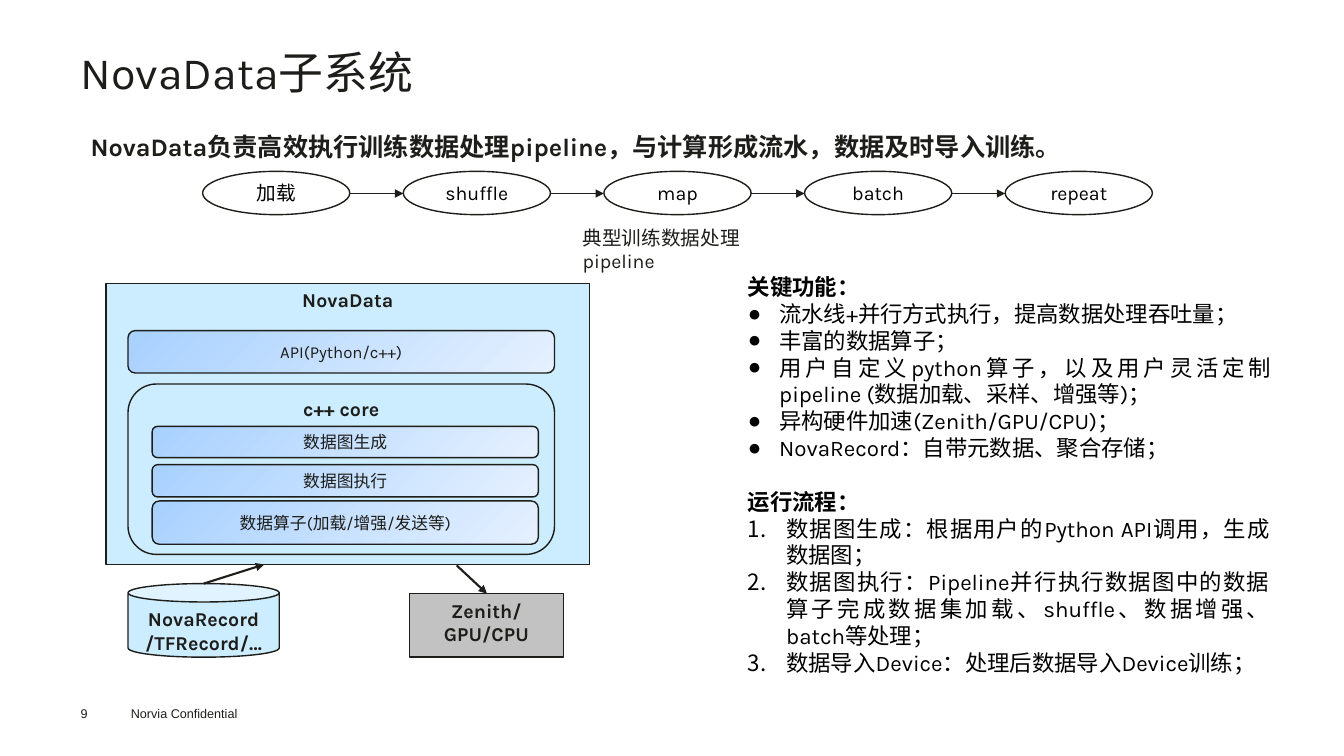
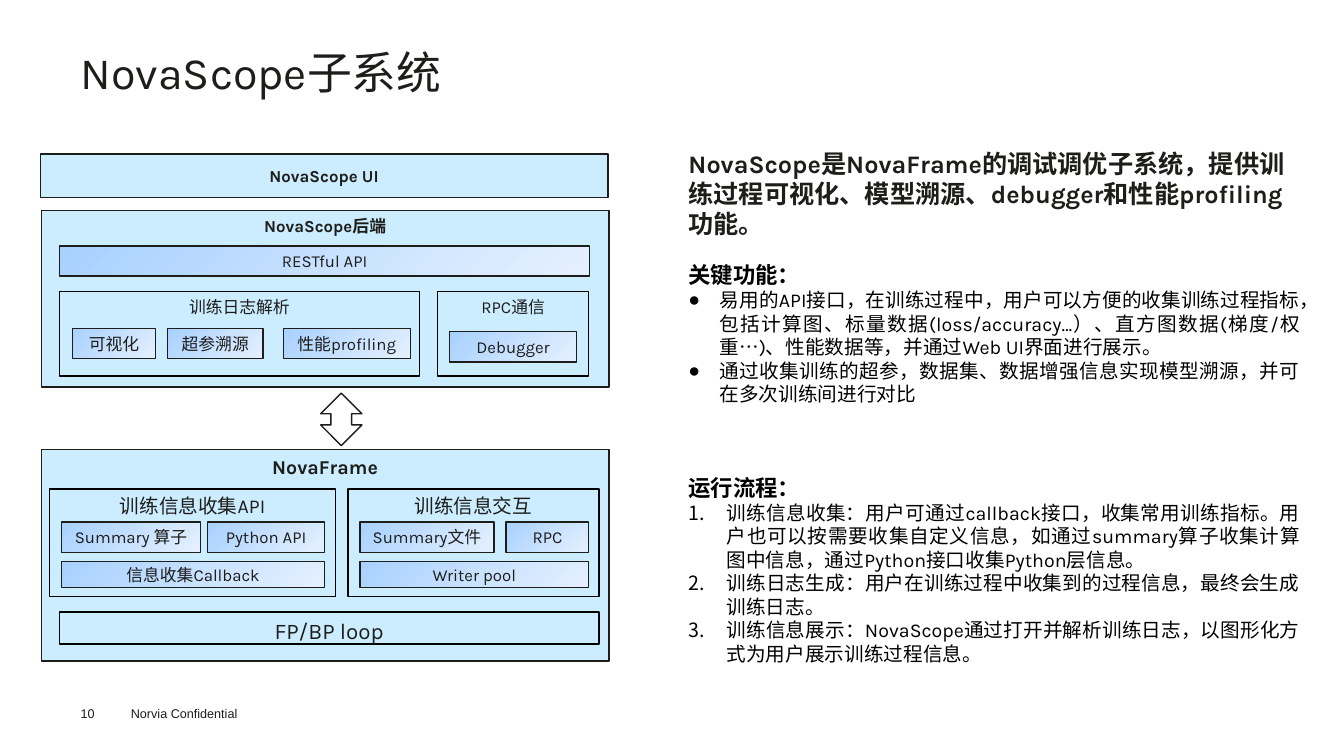
from lxml import etree
from pptx import Presentation
from pptx.dml.color import RGBColor
from pptx.enum.shapes import MSO_CONNECTOR, MSO_SHAPE
from pptx.enum.text import MSO_ANCHOR, PP_ALIGN
from pptx.oxml.ns import qn
from pptx.util import Emu, Pt

RECT = MSO_SHAPE.RECTANGLE
ROUND = MSO_SHAPE.ROUNDED_RECTANGLE
OVAL = MSO_SHAPE.OVAL
CAN = MSO_SHAPE.CAN
UPDOWN = MSO_SHAPE.UP_DOWN_ARROW
STRAIGHT = MSO_CONNECTOR.STRAIGHT
TOP, MIDDLE = MSO_ANCHOR.TOP, MSO_ANCHOR.MIDDLE
LEFT, CENTER, JUSTIFY = PP_ALIGN.LEFT, PP_ALIGN.CENTER, PP_ALIGN.JUSTIFY

SCALE = 9144  # EMU in one px, 100 px to the inch
FONT = "Karla"
INK, BLACK, FOOT = "1D1D1A", "000000", "1D1D1B"
SKY, GRAY = "CCECFF", "C2C2C2"
BLEND = ("A8D1FF", "E5F0FF")


def px(*nums):
    return [Emu(n * SCALE) for n in nums]


def rgb(code):
    return RGBColor.from_string(code)


def style(para, size, color=INK, bold=False, align=LEFT, font=FONT):
    para.alignment = align
    para.font.name = font
    para.font.size = Pt(size)
    para.font.bold = bold
    para.font.color.rgb = rgb(color)


def write(frame, text, size, anchor=TOP, **look):
    """Fill a frame, one paragraph to a line."""
    frame.word_wrap = True
    frame.vertical_anchor = anchor
    frame.text = text
    for para in frame.paragraphs:
        style(para, size, **look)


def label(slide, spot, text, size, inset=True, **look):
    frame = slide.shapes.add_textbox(*px(*spot)).text_frame
    if not inset:
        frame.margin_left = frame.margin_right = 0
        frame.margin_top = frame.margin_bottom = 0
    write(frame, text, size, **look)
    return frame


def box(slide, spot, text="", size=12, kind=RECT, fill=None, line=INK,
        color=INK, bold=False, anchor=TOP):
    """Outlined shape: fill is None, a colour or a pair to blend."""
    shape = slide.shapes.add_shape(kind, *px(*spot))
    shape.shadow.inherit = False
    if fill is None:
        shape.fill.background()
    elif isinstance(fill, tuple):
        shape.fill.gradient()
        shape.fill.gradient_angle = 315
        for stop, code in zip(shape.fill.gradient_stops, fill):
            stop.color.rgb = rgb(code)
    else:
        shape.fill.solid()
        shape.fill.fore_color.rgb = rgb(fill)
    shape.line.color.rgb = rgb(line)
    shape.line.width = Pt(1)
    if text:
        write(shape.text_frame, text, size, anchor, color=color, bold=bold,
              align=CENTER)


def chip(slide, spot, text, kind=RECT):
    box(slide, spot, text, kind=kind, fill=BLEND, anchor=MIDDLE)


def arrow(slide, ends, width):
    line = slide.shapes.add_connector(STRAIGHT, *px(*ends))
    line.line.color.rgb = rgb(INK)
    line.line.width = Pt(width)
    props = line._element.spPr
    etree.SubElement(props.find(qn("a:ln")), qn("a:tailEnd"), type="triangle")
    etree.SubElement(props, qn("a:effectLst"))


def points(slide, spot, head, items, size, number=False):
    """Bold heading over a bulleted or numbered list."""
    frame = label(slide, spot, head, 16, color=BLACK, bold=True, align=JUSTIFY)
    hang = px(38 if number else 31)[0]
    for item in items:
        para = frame.add_paragraph()
        para.text = item
        props = para._p.get_or_add_pPr()
        props.set("marL", str(hang))
        props.set("indent", str(-hang))
        if number:
            etree.SubElement(props, qn("a:buAutoNum"), type="arabicPeriod")
        else:
            etree.SubElement(props, qn("a:buFont"), typeface="Arial")
            etree.SubElement(props, qn("a:buChar"), char="●")
        style(para, size, BLACK, align=JUSTIFY)


def start(deck, title, page):
    """New slide with title and footer."""
    slide = deck.slides.add_slide(deck.slide_layouts[6])
    label(slide, (120, 695, 160, 25), "Norvia Confidential", 9,
          color=FOOT, font="Arial")
    label(slide, (80, 700, 55, 15), page, 9, inset=False,
          color=FOOT, font="Arial")
    frame = label(slide, (80, 50, 1174, 109), title, 32, inset=False)
    frame.paragraphs[0].line_spacing = Pt(34.3)
    return slide


def data_slide(deck):
    slide = start(deck, "NovaData子系统", "9")
    label(slide, (80, 125, 1174, 40),
          "NovaData负责高效执行训练数据处理pipeline，与计算形成流水，数据及时导入训练。",
          18, bold=True)

    # Pipeline steps
    left, step, wide = 201, 199, 146
    names = ["加载", "shuffle", "map", "batch", "repeat"]
    for i, name in enumerate(names):
        x = left + i * step
        box(slide, (x, 170, wide, 43), name, 14, OVAL, color=BLACK,
            anchor=MIDDLE)
        if i:
            arrow(slide, (x - step + wide, 192, x, 192), 0.5)
    label(slide, (568, 219, 247, 34), "典型训练数据处理pipeline", 14)

    # Layers of the system
    box(slide, (105, 281, 480, 279), "NovaData", 14, fill=SKY, bold=True)
    chip(slide, (127, 328, 423, 42), "API(Python/c++)", ROUND)
    box(slide, (127, 381, 423, 169), "c++ core", 14, ROUND, SKY, bold=True)
    for y, high, name in [(423, 31, "数据图生成"), (461, 32, "数据图执行"),
                          (497, 43, "数据算子(加载/增强/发送等)")]:
        chip(slide, (151, y, 383, high), name, ROUND)

    # Source and target of the data
    box(slide, (127, 579, 150, 73), "NovaRecord\n/TFRecord/…", 14, CAN, SKY,
        bold=True)
    box(slide, (406, 589, 153, 63), "Zenith/\nGPU/CPU", 14, fill=GRAY,
        bold=True)
    arrow(slide, (202, 579, 262, 560), 1.5)
    arrow(slide, (453, 561, 483, 589), 1.5)

    # Explanations
    points(slide, (732, 266, 539, 199), "关键功能：", [
        "流水线+并行方式执行，提高数据处理吞吐量；",
        "丰富的数据算子；",
        "用户自定义python算子，以及用户灵活定制pipeline (数据加载、采样、增强等)；",
        "异构硬件加速(Zenith/GPU/CPU)；",
        "NovaRecord：自带元数据、聚合存储；",
    ], 16)
    points(slide, (732, 479, 537, 208), "运行流程：", [
        "数据图生成：根据用户的Python API调用，生成数据图；",
        "数据图执行：Pipeline并行执行数据图中的数据算子完成数据集加载、"
        "shuffle、数据增强、batch等处理；",
        "数据导入Device：处理后数据导入Device训练；",
    ], 16, number=True)


def insight_slide(deck):
    slide = start(deck, "NovaScope子系统", "10")

    # Main layers
    box(slide, (40, 153, 563, 43), "NovaScope UI", fill=SKY, bold=True,
        anchor=MIDDLE)
    box(slide, (41, 209, 563, 175), "NovaScope后端", fill=SKY, bold=True)
    box(slide, (318, 390, 41, 52), kind=UPDOWN)
    box(slide, (41, 446, 563, 210), "NovaFrame", 14, fill=SKY, bold=True)

    # Groups within the layers
    for spot, name, size in [
        ((59, 289, 357, 84), "训练日志解析", 12),
        ((434, 289, 150, 84), "RPC通信", 12),
        ((49, 485, 284, 107), "训练信息收集API", 14),
        ((345, 485, 249, 107), "训练信息交互", 14),
        ((59, 607, 535, 32), "FP/BP loop", 16),
    ]:
        box(slide, spot, name, size, line=BLACK)

    # Modules: top and height of a row, then left, width and name of each
    for y, high, row in [
        (244, 30, [(59, 526, "RESTful API")]),
        (326, 30, [(72, 82, "可视化"), (166, 95, "超参溯源"),
                   (281, 126, "性能profiling")]),
        (329, 30, [(446, 126, "Debugger")]),
        (518, 30, [(61, 138, "Summary 算子"), (206, 116, "Python API"),
                   (357, 133, "Summary文件"), (502, 82, "RPC")]),
        (557, 26, [(61, 261, "信息收集Callback"), (357, 227, "Writer pool")]),
    ]:
        for x, wide, name in row:
            chip(slide, (x, y, wide, high), name)

    # Explanations
    label(slide, (673, 142, 626, 101),
          "NovaScope是NovaFrame的调试调优子系统，提供训练过程可视化、模型溯源、"
          "debugger和性能profiling功能。", 18, bold=True)
    points(slide, (673, 254, 626, 165), "关键功能：", [
        "易用的API接口，在训练过程中，用户可以方便的收集训练过程指标，包括计算图、"
        "标量数据(loss/accuracy…）、直方图数据(梯度/权重…)、性能数据等，"
        "并通过Web UI界面进行展示。",
        "通过收集训练的超参，数据集、数据增强信息实现模型溯源，并可在多次训练间进行对比",
    ], 14)
    points(slide, (673, 465, 626, 208), "运行流程：", [
        "训练信息收集：用户可通过callback接口，收集常用训练指标。"
        "用户也可以按需要收集自定义信息，如通过summary算子收集计算图中信息，"
        "通过Python接口收集Python层信息。",
        "训练日志生成：用户在训练过程中收集到的过程信息，最终会生成训练日志。",
        "训练信息展示：NovaScope通过打开并解析训练日志，"
        "以图形化方式为用户展示训练过程信息。",
    ], 14, number=True)


def main():
    deck = Presentation()
    deck.slide_width, deck.slide_height = px(1333, 750)
    data_slide(deck)
    insight_slide(deck)
    deck.save("out.pptx")


if __name__ == "__main__":
    main()
